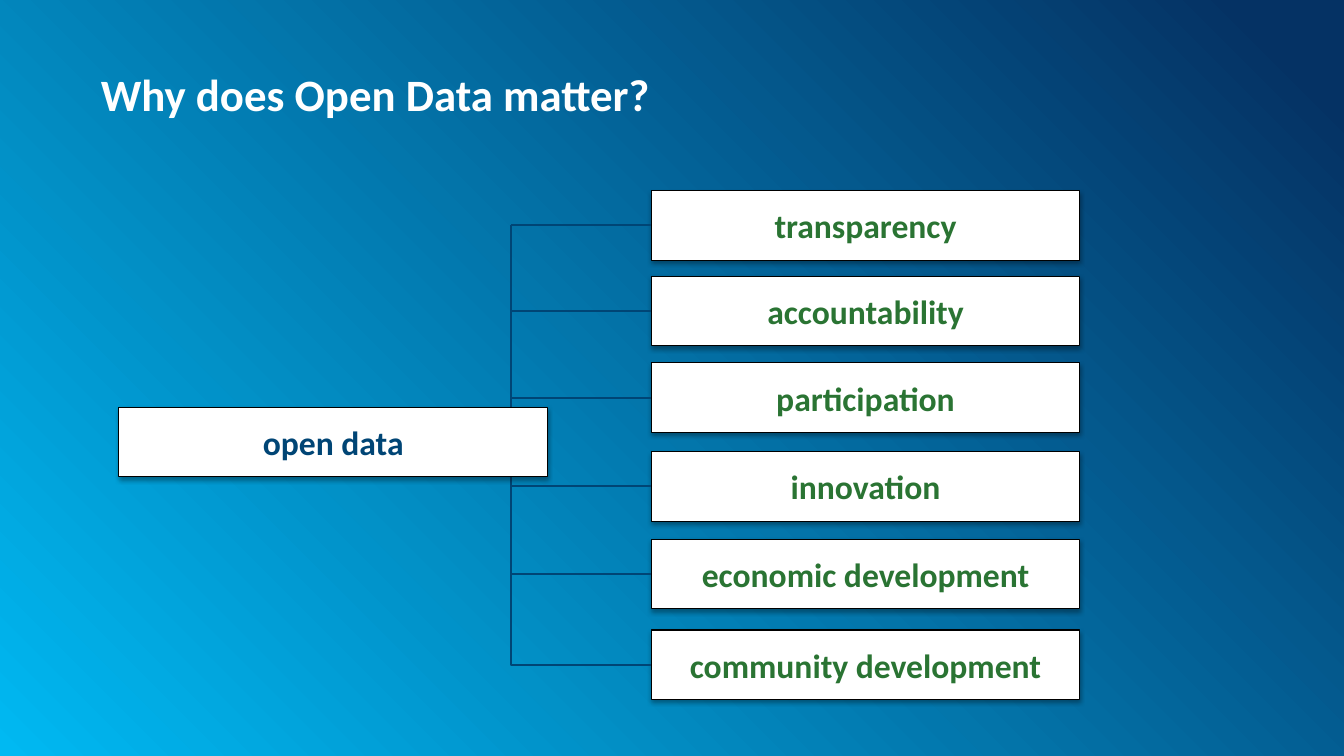
from lxml import etree
from pptx import Presentation
from pptx.dml.color import RGBColor
from pptx.enum.shapes import MSO_CONNECTOR, MSO_SHAPE
from pptx.enum.text import MSO_ANCHOR, PP_ALIGN
from pptx.oxml import parse_xml
from pptx.oxml.ns import qn
from pptx.util import Inches, Pt

RECT = MSO_SHAPE.RECTANGLE
LINE, ELBOW = MSO_CONNECTOR.STRAIGHT, MSO_CONNECTOR.ELBOW
MID, CENTER = MSO_ANCHOR.MIDDLE, PP_ALIGN.CENTER
NS = 'xmlns:a="http://schemas.openxmlformats.org/drawingml/2006/main"'
NAVY, GREEN, WHITE = "004575", "2A7433", "FFFFFF"
WIDE, HIGH = 4.25, 0.69
LEFT, TRUNK = 6.46, 5.07


def color(code):
    return RGBColor.from_string(code)


def write(frame, text, size, code):
    run = frame.paragraphs[0].add_run()
    run.text = text
    run.font.name = "Calibri"
    run.font.size = Pt(size)
    run.font.bold = True
    run.font.color.rgb = color(code)


prs = Presentation()
prs.slide_width, prs.slide_height = Inches(13.33), Inches(7.5)
slide = prs.slides.add_slide(prs.slide_layouts[6])
shapes = slide.shapes

back = slide.background.fill
back.gradient()
for stop, (pos, code) in zip(back.gradient_stops, [(0, "00B9F2"), (0.95, "053264")]):
    stop.position = pos
    stop.color.rgb = color(code)
lin = next(slide.element.iter(qn("a:lin")))
lin.getparent().replace(lin, parse_xml(
    f'<a:path {NS} path="circle">'
    '<a:fillToRect l="0" t="100000" r="100000" b="0"/></a:path>'))

title = shapes.add_textbox(Inches(1), Inches(0.66), Inches(11.33), Inches(0.54)).text_frame
title.word_wrap = True
title.margin_left = title.margin_top = title.margin_right = title.margin_bottom = 0
write(title, "Why does Open Data matter?", 32, WHITE)

goals = [
    ("transparency", 1.89), ("accountability", 2.74), ("participation", 3.6),
    ("innovation", 4.48), ("economic development", 5.35), ("community development", 6.25),
]
mids = [top + HIGH / 2 for _, top in goals]
cards = [(text, LEFT, top, GREEN) for text, top in goals]
cards.append(("open data", 1.18, 4.04, NAVY))

boxes = []
for text, left, top, code in cards:
    box = shapes.add_shape(RECT, Inches(left), Inches(top), Inches(WIDE), Inches(HIGH))
    box.fill.solid()
    box.fill.fore_color.rgb = color(WHITE)
    box.line.color.rgb = color("000000")
    box.line.width = Pt(0.75)
    box.shadow.inherit = False
    box.element.spPr.find(qn("a:effectLst")).append(parse_xml(
        f'<a:outerShdw {NS} blurRad="40000" dist="23000" dir="5400000" rotWithShape="0">'
        '<a:srgbClr val="000000"><a:alpha val="35000"/></a:srgbClr></a:outerShdw>'))
    frame = box.text_frame
    frame.word_wrap = False
    frame.vertical_anchor = MID
    frame.paragraphs[0].alignment = CENTER
    write(frame, text, 24, code)
    boxes.append(box)

links = []
for box, mid in zip(boxes[:4], mids):
    link = shapes.add_connector(LINE, Inches(TRUNK), Inches(mid), Inches(LEFT), Inches(mid))
    link.end_connect(box, 1)
    link.begin_y = link.end_y
    links.append(link)

span = LEFT - TRUNK
for start, end in [(mids[0], mids[4]), (5.18, mids[5])]:
    x, y, half = (TRUNK + LEFT) / 2, (start + end) / 2, (end - start) / 2
    link = shapes.add_connector(ELBOW, Inches(x - half), Inches(y - span / 2),
                                Inches(x + half), Inches(y + span / 2))
    form = link.element.spPr
    form.find(qn("a:prstGeom")).set("prst", "bentConnector2")
    form.find(qn("a:xfrm")).set("rot", "16200000")
    form.find(qn("a:xfrm")).set("flipH", "1")
    links.append(link)

for link in links:
    link.line.color.rgb = color(NAVY)
    link.line.width = Pt(1.5)
    etree.SubElement(link.element.spPr, qn("a:effectLst"))

hub = boxes[-1].element
hub.getparent().append(hub)

prs.save("out.pptx")
